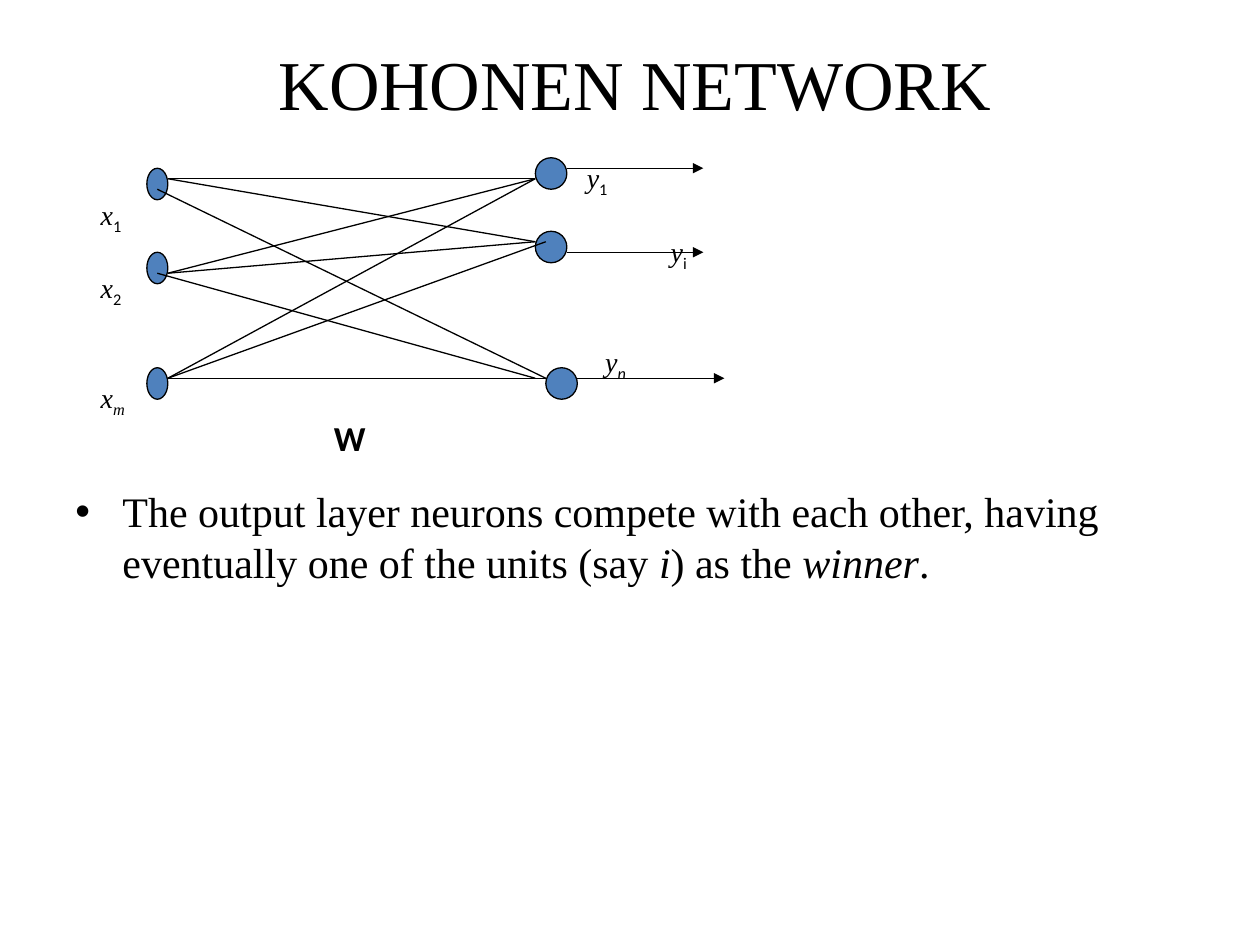
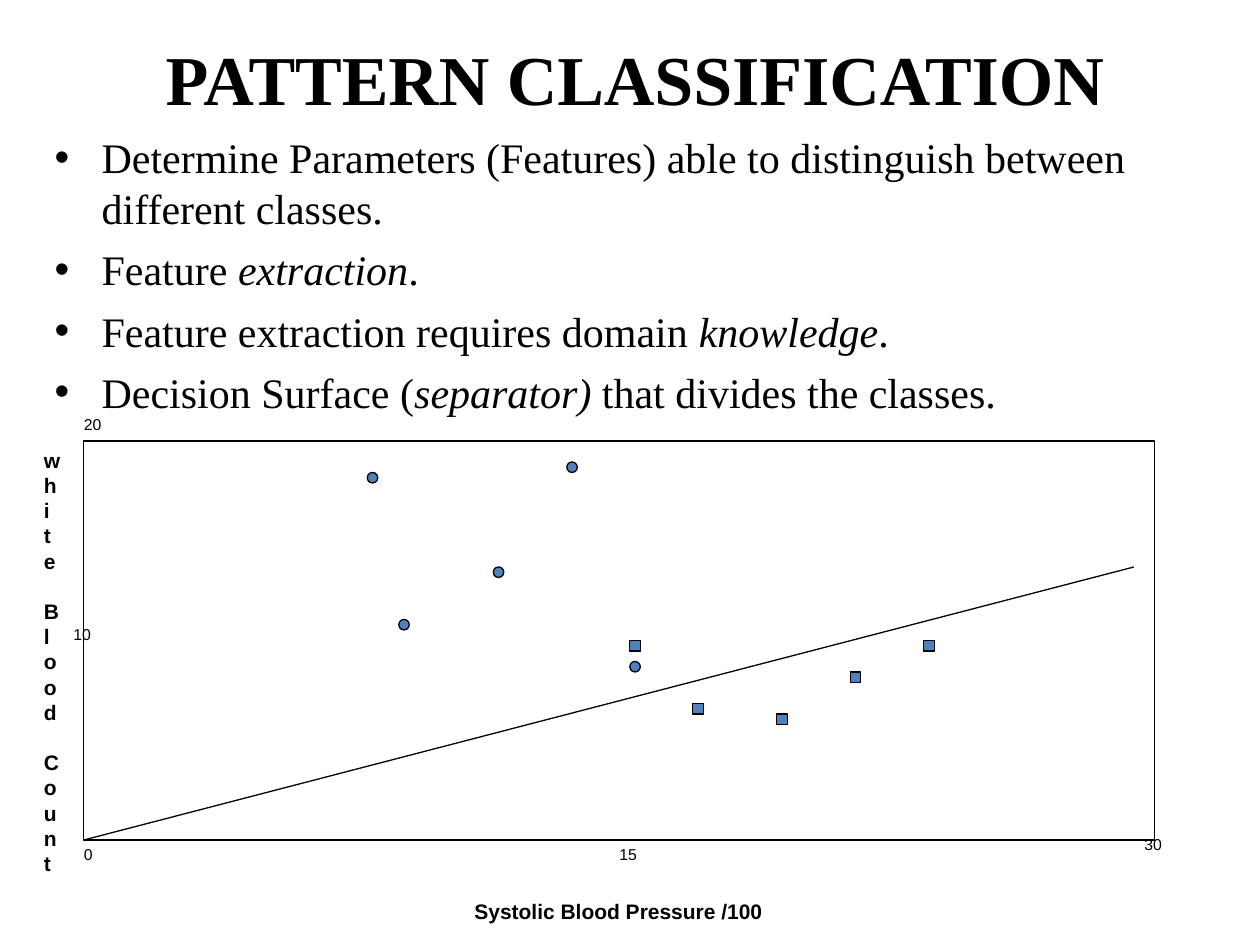
from lxml.etree import SubElement
from pptx import Presentation
from pptx.dml.color import RGBColor
from pptx.enum.shapes import MSO_CONNECTOR, MSO_SHAPE
from pptx.enum.text import MSO_ANCHOR, PP_ALIGN
from pptx.oxml.ns import qn
from pptx.util import Cm, Pt

BLACK, BLUE = "000000", "4F81BD"
SERIF, SANS, ARIAL = "Times New Roman", "Calibri", "Arial"
GRID = 2.54 / 12  # both figures sit on a grid of this many centimetres
BULLET_INDENT = Cm(0.95)


def color(hex_string):
    return RGBColor.from_string(hex_string)


def add_run(paragraph, text, size, font=SERIF, bold=False, italic=False, subscript=False):
    run = paragraph.add_run()
    run.text = text
    run.font.name, run.font.size = font, Pt(size)
    run.font.bold, run.font.italic = bold, italic
    run.font.color.rgb = color(BLACK)
    if subscript:
        run._r.get_or_add_rPr().set("baseline", "-25000")


def add_text_frame(slide, left, top, width, height, margins=(0, 0)):
    """Add an empty text box, measured in centimetres, and return its frame."""
    box = slide.shapes.add_textbox(Cm(left), Cm(top), Cm(width), Cm(height))
    frame = box.text_frame
    frame.word_wrap = True
    frame.margin_left = frame.margin_right = Cm(margins[0])
    frame.margin_top = frame.margin_bottom = Cm(margins[1])
    return frame


def add_label(slide, left, top, text, size, font, width=1.2, **style):
    frame = add_text_frame(slide, left, top, width, 0.7)
    add_run(frame.paragraphs[0], text, size, font, **style)
    return frame.paragraphs[0]


def add_title(slide, top, text, bold=False):
    frame = add_text_frame(slide, 1.47, top, 22.66, 1.78)
    frame.vertical_anchor = MSO_ANCHOR.MIDDLE
    frame.paragraphs[0].alignment = PP_ALIGN.CENTER
    add_run(frame.paragraphs[0], text, 40, bold=bold)


def add_bullets(slide, left, top, width, height, items):
    """Each item is a list of texts, of which every second one is italic."""
    frame = add_text_frame(slide, left, top, width, height, (0.25, 0.13))
    for index, texts in enumerate(items):
        paragraph = frame.add_paragraph() if index else frame.paragraphs[0]
        paragraph.line_spacing = Pt(29)
        paragraph.space_before = Pt(6 if index else 0)
        properties = paragraph._p.get_or_add_pPr()
        properties.set("marL", str(BULLET_INDENT))
        properties.set("indent", str(-BULLET_INDENT))
        SubElement(properties, qn("a:buFont")).set("typeface", ARIAL)
        SubElement(properties, qn("a:buChar")).set("char", "•")
        for position, text in enumerate(texts):
            add_run(paragraph, text, 24, italic=position % 2 == 1)


class Figure:
    """Places shapes in grid units from its own top left corner."""

    def __init__(self, slide, left, top):
        self.slide, self.left, self.top = slide, left, top

    def position(self, x, y):
        return self.left + x * GRID, self.top + y * GRID

    def add_shape(self, kind, x, y, width, height, fill=BLUE):
        left, top = self.position(x, y)
        shape = self.slide.shapes.add_shape(
            kind, Cm(left), Cm(top), Cm(width * GRID), Cm(height * GRID))
        shape.shadow.inherit = False
        if fill:
            shape.fill.solid()
            shape.fill.fore_color.rgb = color(fill)
        else:
            shape.fill.background()
        shape.line.color.rgb = color(BLACK)
        shape.line.width = Pt(0.75)

    def add_line(self, start, end, arrow=False):
        ends = [Cm(value) for point in (start, end) for value in self.position(*point)]
        connector = self.slide.shapes.add_connector(MSO_CONNECTOR.STRAIGHT, *ends)
        connector.line.color.rgb = color(BLACK)
        connector.line.width = Pt(0.75)
        properties = connector._element.spPr
        if arrow:
            SubElement(properties.find(qn("a:ln")), qn("a:tailEnd")).set("type", "triangle")
        SubElement(properties, qn("a:effectLst"))


def add_network(slide, left, top):
    figure = Figure(slide, left, top)
    for y in (1, 9, 20):
        figure.add_shape(MSO_SHAPE.OVAL, 0, y, 2, 3)
    for x, y in ((37, 0), (37, 7), (38, 20)):
        figure.add_shape(MSO_SHAPE.OVAL, x, y, 3, 3)
    weights = {
        (2, 2): [(37, 2), (37, 8)],
        (1, 3): [(38, 21)],
        (2, 11): [(37, 2), (37, 8)],
        (1, 11): [(37, 21)],
        (2, 21): [(37, 2), (38, 8), (38, 21)],
    }
    for start, ends in weights.items():
        for end in ends:
            figure.add_line(start, end)
    for start, end, y in ((40, 53, 1), (40, 53, 9), (41, 55, 21)):
        figure.add_line((start, y), (end, y), arrow=True)

    row_height = 0.74
    neuron_labels = [
        (0, 8.87, "y", "1", SANS, False), (1, -0.93, "x", "1", SANS, False),
        (2, 10.56, "y", "i", SANS, False), (3, -0.93, "x", "2", SANS, False),
        (5, 9.24, "y", "n", SANS, True), (6, -0.93, "x", "m", SERIF, True),
    ]
    for row, x, letter, index, index_font, italic in neuron_labels:
        paragraph = add_label(slide, left + x, top + 0.06 + row * row_height,
                              letter, 16, SERIF, italic=True)
        add_run(paragraph, index, 16, index_font, italic=italic, subscript=True)
    add_label(slide, left + 3.77, top + 5.22, "W", 20, SANS, bold=True)


def add_vertical_title(slide, left, top, text):
    """Stack the letters, with one empty line's height between words."""
    frame = add_text_frame(slide, left, top, 0.56, 8.9)
    line_height = Pt(14.4)
    paragraph = frame.paragraphs[0]
    for word_index, word in enumerate(text.split()):
        for letter_index, letter in enumerate(word):
            if word_index or letter_index:
                paragraph = frame.add_paragraph()
            paragraph.line_spacing = line_height
            if word_index and not letter_index:
                paragraph.space_before = line_height
            add_run(paragraph, letter, 12, ARIAL, bold=True)


def add_scatter_plot(slide, left, top):
    figure = Figure(slide, left, top)
    figure.add_shape(MSO_SHAPE.RECTANGLE, 0, 0, 102, 38, fill=None)
    figure.add_line((0, 38), (100, 12))
    classes = {
        MSO_SHAPE.RECTANGLE: [(58, 25), (73, 22), (66, 26), (80, 19), (52, 19)],
        MSO_SHAPE.OVAL: [(52, 21), (39, 12), (27, 3), (30, 17), (46, 2)],
    }
    for marker, points in classes.items():
        for x, y in points:
            figure.add_shape(marker, x, y, 1, 1)
    ticks = [("0", 0, 38.5), ("15", 51, 38.5), ("30", 101, 37.5),
             ("10", -1, 17.5), ("20", 0, -2.5)]
    for text, x, y in ticks:
        add_label(slide, *figure.position(x, y), text, 9, ARIAL)
    add_label(slide, *figure.position(37.2, 43.6), "Systolic Blood Pressure /100",
              12, ARIAL, width=8, bold=True)
    add_vertical_title(slide, *figure.position(-3.8, 0.6), "white Blood Count")


def build_kohonen_slide(slide):
    add_title(slide, 0.77, "KOHONEN NETWORK")
    add_network(slide, 2.96, 3.18)
    add_bullets(slide, 1.27, 9.65, 22.86, 3, [
        ["The output layer neurons compete with each other, having eventually "
         "one of the units (say ", "i", ") as the ", "winner", "."],
    ])


def build_classification_slide(slide):
    add_title(slide, 0.67, "PATTERN CLASSIFICATION", bold=True)
    add_bullets(slide, 0.85, 2.52, 23.28, 6, [
        ["Determine Parameters (Features) able to distinguish between different classes."],
        ["Feature ", "extraction", "."],
        ["Feature extraction requires domain ", "knowledge", "."],
        ["Decision Surface (", "separator) ", "that divides the classes."],
    ])
    add_scatter_plot(slide, 1.69, 8.89)


def main():
    presentation = Presentation()
    presentation.slide_width, presentation.slide_height = Cm(25.4), Cm(19.05)
    blank_layout = presentation.slide_layouts[6]
    for build_slide in (build_kohonen_slide, build_classification_slide):
        build_slide(presentation.slides.add_slide(blank_layout))
    presentation.save("out.pptx")


if __name__ == "__main__":
    main()
